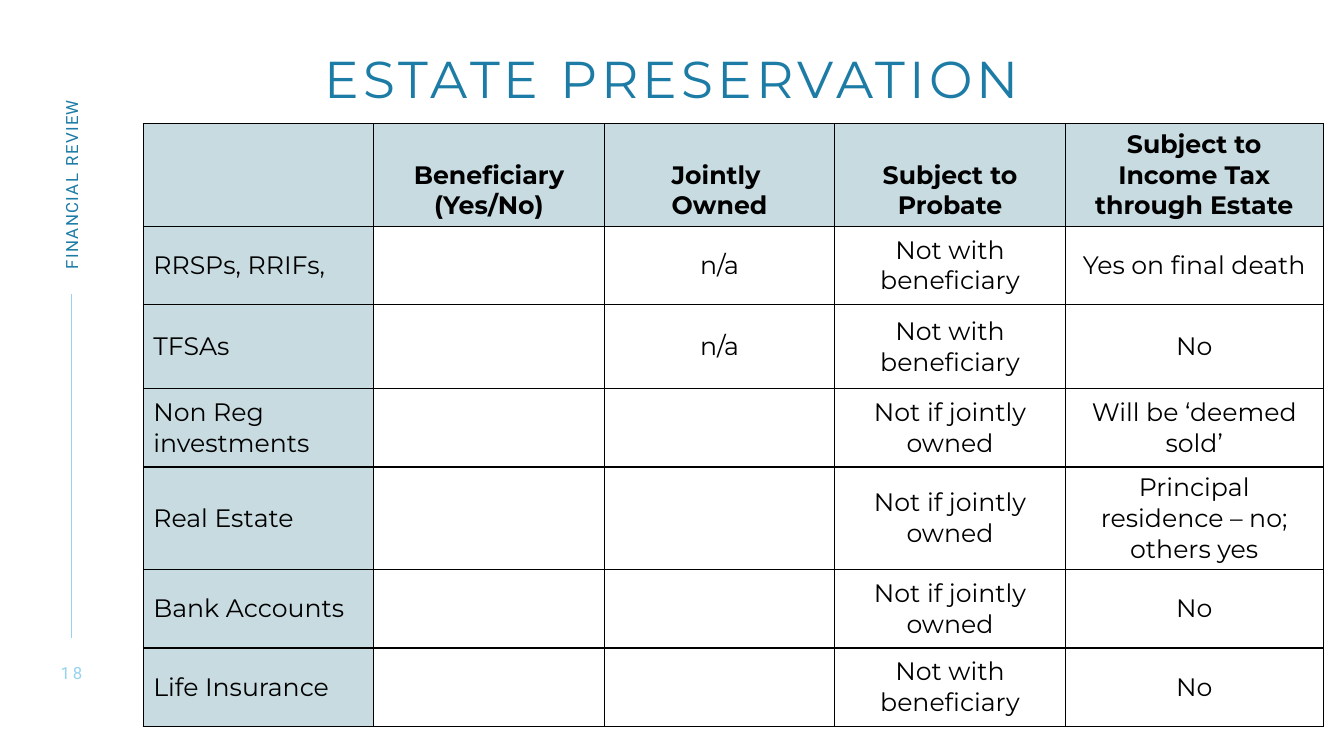
from dataclasses import dataclass

from lxml import etree
from pptx import Presentation
from pptx import util as u
from pptx.dml.color import RGBColor
from pptx.enum import shapes, text
from pptx.oxml import parse_xml
from pptx.oxml.ns import nsdecls, qn

Cm, Pt = u.Cm, u.Pt
ALIGN, ANCHOR = text.PP_ALIGN, text.MSO_ANCHOR


@dataclass(frozen=True)
class Theme:
    heading: str = "Montserrat"
    label: str = "Roboto"
    blue: str = "1C7CA5"
    pale_blue: str = "96D3ED"
    shade: str = "C7DBE1"
    white: str = "FFFFFF"
    black: str = "000000"
    title_size: int = 37
    table_size: int = 18
    label_size: int = 12


THEME = Theme()

HEADERS = ["", "Beneficiary (Yes/No)", "Jointly \nOwned", "Subject to Probate",
           "Subject to Income Tax through Estate"]
ASSETS = [
    ["RRSPs, RRIFs,", "", "n/a", "Not with beneficiary", "Yes on final death"],
    ["TFSAs", "", "n/a", "Not with beneficiary", "No"],
    ["Non Reg investments", "", "", "Not if jointly owned", "Will be ‘deemed sold’"],
    ["Real Estate", "", "", "Not if jointly owned", "Principal residence – no; others yes"],
    ["Bank Accounts", "", "", "Not if jointly owned", "No"],
    ["Life Insurance", "", "", "Not with beneficiary", "No"],
]
COLUMN_WIDTHS = [5.81] * 4 + [6.5]
ROW_HEIGHTS = [2.44, 1.98, 2.11] + [1.98] * 4


def write(tf, content, *, font, size, color, bold=False, align=ALIGN.LEFT,
          spacing=0, line_spacing=None):
    """Fill a text frame, one paragraph per line; spacing is in points."""
    tf.text = content
    for p in tf.paragraphs:
        p.alignment = align
        p.line_spacing = line_spacing
        for r in p.runs:
            r.font.name = font
            r.font.size = Pt(size)
            r.font.bold = bold
            r.font.color.rgb = RGBColor.from_string(color)
            if spacing:
                r.font._element.set("spc", str(spacing * 100))


def clear_margins(tf):
    tf.margin_left = tf.margin_top = tf.margin_right = tf.margin_bottom = 0
    tf.word_wrap = True
    tf.auto_size = text.MSO_AUTO_SIZE.NONE


def add_title(s, left, top, width, height):
    title = s.shapes.title
    title.left, title.top, title.width, title.height = map(Cm, (left, top, width, height))
    tf = title.text_frame
    clear_margins(tf)
    tf.vertical_anchor = ANCHOR.TOP
    write(tf, "ESTATE PRESERVATION", font=THEME.heading, size=THEME.title_size,
          color=THEME.blue, align=ALIGN.CENTER, spacing=3, line_spacing=0.9)


def add_label(s, content, center_x, center_y, width, height, rotation=0, **fmt):
    """Place a small label by its centre, so that it can be turned in place."""
    sp = s.shapes.add_textbox(Cm(center_x - width / 2), Cm(center_y - height / 2),
                              Cm(width), Cm(height))
    sp.rotation = rotation
    tf = sp.text_frame
    clear_margins(tf)
    tf.vertical_anchor = ANCHOR.MIDDLE
    write(tf, content, font=THEME.label, size=THEME.label_size, **fmt)


def add_side_rail(s, center_x, top, height):
    """Section name, vertical rule and page number down the left edge."""
    add_label(s, "FINANCIAL REVIEW", center_x, top + 2.48, 4.95, 0.53, rotation=270,
              color=THEME.blue, spacing=1)
    rule = s.shapes.add_connector(shapes.MSO_CONNECTOR.STRAIGHT, Cm(center_x), Cm(top + 5.59),
                                  Cm(center_x), Cm(top + height - 1.13))
    rule.line.color.rgb = RGBColor.from_string(THEME.pale_blue)
    rule.line.width = Pt(1)
    etree.SubElement(rule._element.spPr, qn("a:effectLst"))
    add_label(s, "18", center_x, top + height - 0.25, 1.27, 0.5,
              color=THEME.pale_blue, align=ALIGN.CENTER, spacing=2)


def style_cell(cell, fill):
    """Border all four sides, then fill: the schema wants the lines first."""
    tc_pr = cell._tc.get_or_add_tcPr()
    for side in ("lnL", "lnR", "lnT", "lnB"):
        tc_pr.append(parse_xml(
            f'<a:{side} {nsdecls("a")} w="{Pt(1)}"><a:solidFill>'
            f'<a:srgbClr val="{THEME.black}"/></a:solidFill></a:{side}>'))
    cell.fill.solid()
    cell.fill.fore_color.rgb = RGBColor.from_string(fill)


def add_estate_table(s, left, top):
    rows = [HEADERS] + ASSETS
    frame = s.shapes.add_table(len(rows), len(HEADERS), Cm(left), Cm(top),
                               Cm(sum(COLUMN_WIDTHS)), Cm(sum(ROW_HEIGHTS)))
    table = frame.table
    table.first_row = table.horz_banding = False
    for column, width in zip(table.columns, COLUMN_WIDTHS):
        column.width = Cm(width)
    for row, height in zip(table.rows, ROW_HEIGHTS):
        row.height = Cm(height)
    for i, row in enumerate(rows):
        for j, content in enumerate(row):
            cell = table.cell(i, j)
            style_cell(cell, THEME.shade if i == 0 or j == 0 else THEME.white)
            cell.vertical_anchor = ANCHOR.BOTTOM if i == 0 else ANCHOR.MIDDLE
            write(cell.text_frame, content, font=THEME.heading, size=THEME.table_size,
                  color=THEME.black, bold=i == 0,
                  align=ALIGN.LEFT if j == 0 else ALIGN.CENTER)


def main():
    prs = Presentation()
    prs.slide_width, prs.slide_height = Cm(33.87), Cm(19.05)
    s = prs.slides.add_slide(prs.slide_layouts[5])
    add_side_rail(s, center_x=1.8, top=1.83, height=15.38)
    add_title(s, 3.3, 1.35, 27.28, 3.48)
    add_estate_table(s, 3.61, 3.12)
    prs.save("out.pptx")


if __name__ == "__main__":
    main()
